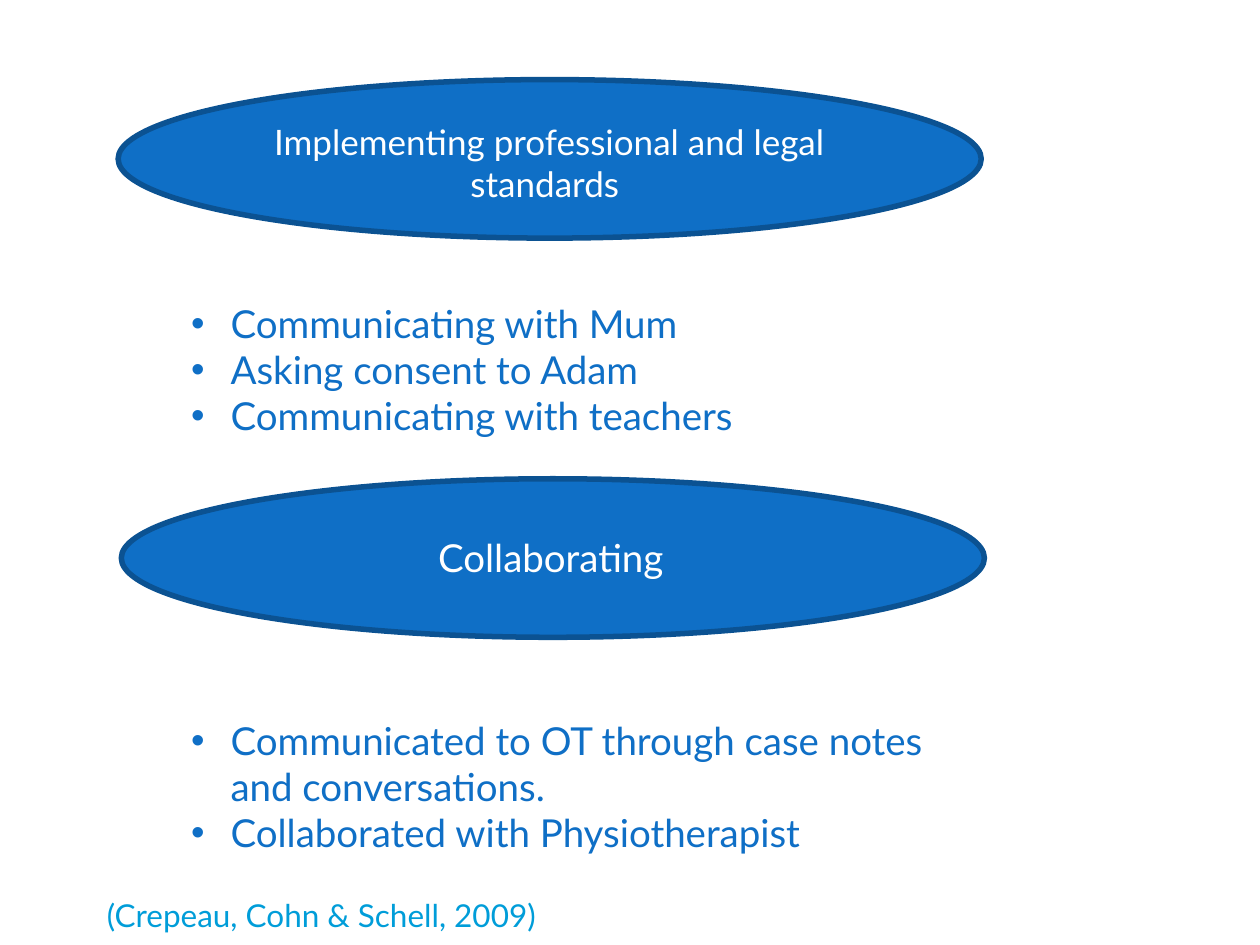
from dataclasses import dataclass

from lxml.etree import SubElement
from pptx import Presentation
from pptx.dml.color import RGBColor
from pptx.enum.shapes import MSO_SHAPE
from pptx.enum.text import MSO_AUTO_SIZE, PP_ALIGN
from pptx.oxml.ns import qn
from pptx.util import Pt

COLOURS = {"blue": "0F6FC6", "edge": "0B5292", "white": "FFFFFF", "cyan": "009DD9"}
FONT = "Lato"
OVAL_WIDTH, OVAL_HEIGHT = 493.2, 90.6
BULLET_INDENT = 22.5


@dataclass(frozen=True)
class Oval:
    left: float
    top: float


@dataclass(frozen=True)
class Passage:
    left: float
    top: float
    width: float
    height: float
    lines: tuple[str, ...]
    size: float
    colour: str
    align: PP_ALIGN = PP_ALIGN.LEFT
    bulleted: bool = False


OVALS = (Oval(67.5, 45.5), Oval(69.3, 273.6))

PASSAGES = (
    Passage(129.6, 65.5, 368.6, 55.4, ("Implementing professional and legal standards ",),
            20, "white", PP_ALIGN.CENTER),
    Passage(102.2, 301.7, 430.6, 33.8, ("Collaborating ",), 22, "white", PP_ALIGN.CENTER),
    Passage(102.2, 167.8, 430.6, 87.1,
            ("Communicating with Mum", "Asking consent to Adam", "Communicating with teachers"),
            22, "blue", bulleted=True),
    Passage(102.2, 406.1, 458.6, 87.1,
            ("Communicated to OT through case notes and conversations.",
             "Collaborated with Physiotherapist"),
            22, "blue", bulleted=True),
    Passage(54, 508.3, 478.8, 28.8, ("(Crepeau, Cohn & Schell, 2009)",), 18, "cyan"),
)


def colour(name: str) -> RGBColor:
    return RGBColor.from_string(COLOURS[name])


def draw_oval(slide, oval: Oval) -> None:
    ellipse = slide.shapes.add_shape(
        MSO_SHAPE.OVAL, Pt(oval.left), Pt(oval.top), Pt(OVAL_WIDTH), Pt(OVAL_HEIGHT))
    ellipse.shadow.inherit = False
    ellipse.fill.solid()
    ellipse.fill.fore_color.rgb = colour("blue")
    ellipse.line.color.rgb = colour("edge")
    ellipse.line.width = Pt(3.15)


def add_bullet(paragraph) -> None:
    properties = paragraph._p.get_or_add_pPr()
    for name, value in {"marL": BULLET_INDENT, "indent": -BULLET_INDENT}.items():
        properties.set(name, str(Pt(value)))
    SubElement(properties, qn("a:buFont")).set("typeface", "Arial")
    SubElement(properties, qn("a:buChar")).set("char", "•")


def write_passage(slide, passage: Passage) -> None:
    frame = slide.shapes.add_textbox(
        Pt(passage.left), Pt(passage.top), Pt(passage.width), Pt(passage.height)).text_frame
    frame.word_wrap = True
    frame.auto_size = MSO_AUTO_SIZE.SHAPE_TO_FIT_TEXT
    font_format = {"name": FONT, "size": Pt(passage.size)}
    for index, line in enumerate(passage.lines):
        paragraph = frame.add_paragraph() if index else frame.paragraphs[0]
        paragraph.alignment = passage.align
        if passage.bulleted:
            add_bullet(paragraph)
        run = paragraph.add_run()
        run.text = line
        for attribute, value in font_format.items():
            setattr(run.font, attribute, value)
        run.font.color.rgb = colour(passage.colour)


def main() -> None:
    """Build the slide on professional standards and collaboration."""
    presentation = Presentation()
    presentation.slide_width, presentation.slide_height = Pt(720), Pt(540)
    slide = presentation.slides.add_slide(presentation.slide_layouts[6])
    for oval in OVALS:
        draw_oval(slide, oval)
    for passage in PASSAGES:
        write_passage(slide, passage)
    presentation.save("out.pptx")


if __name__ == "__main__":
    main()
